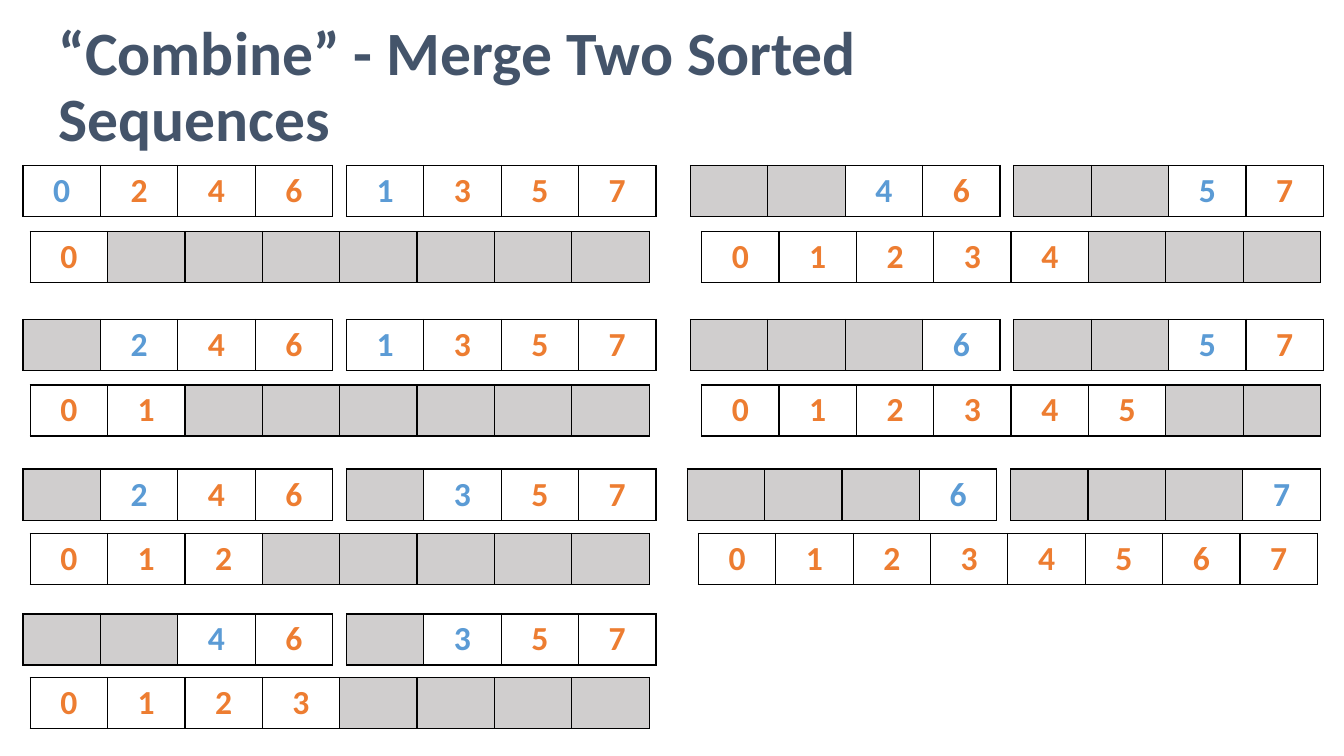
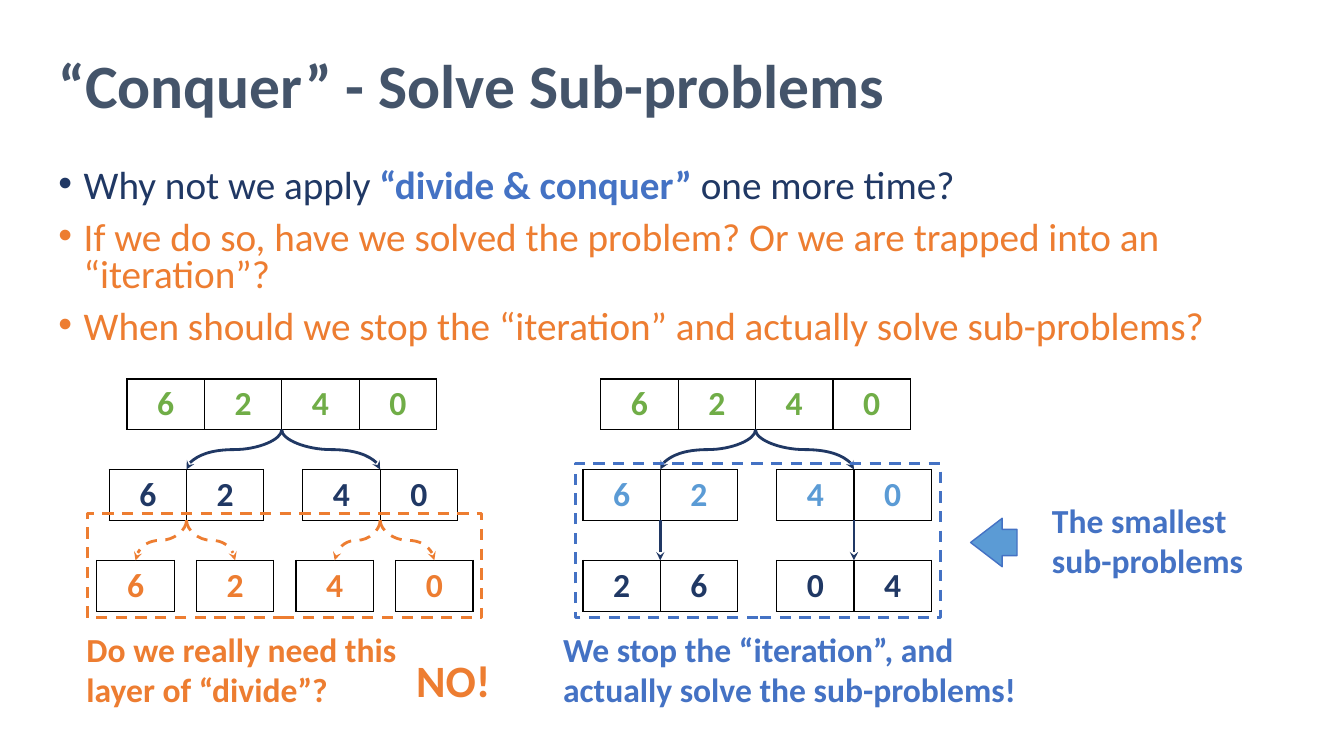
from pptx import Presentation
from pptx import util as u
from pptx.dml import color
from pptx.enum import dml, shapes, text
from pptx.oxml import ns, xmlchemy

COLORS = {
    "title": "44546A", "navy": "203864", "blue": "4472C4", "sky": "5B9BD5",
    "orange": "ED7D31", "green": "70AD47", "gray": "D0CECE", "black": "000000",
}
CELL_WIDTH, CELL_HEIGHT = 1.95, 1.28


def rgb(name):
    return color.RGBColor.from_string(COLORS[name])


def add_xml(parent, tag, **attributes):
    element = xmlchemy.OxmlElement(tag)
    for key, value in attributes.items():
        element.set(key, str(value))
    parent.append(element)
    return element


class Deck:
    """Holds the presentation, its style and the current slide."""

    text_format = {"name": "Calibri", "size": u.Pt(24), "bold": True}
    title_format = {"size": u.Pt(44)}
    body_format = {"size": u.Pt(28), "bold": False}

    def __init__(self):
        self.presentation = Presentation()
        self.presentation.slide_width = u.Cm(33.87)
        self.presentation.slide_height = u.Cm(19.05)
        self.slide = None

    def run(self, paragraph, words, color_name, **changes):
        run = paragraph.add_run()
        run.text = words
        for key, value in {**self.text_format, **changes}.items():
            setattr(run.font, key, value)
        run.font.color.rgb = rgb(color_name)

    def outline(self, line, color_name, width, dashed=False):
        line.color.rgb = rgb(color_name)
        line.width = u.Pt(width)
        if dashed:
            line.dash_style = dml.MSO_LINE.DASH

    def new_slide(self, title):
        layout = self.presentation.slide_layouts[5]
        self.slide = self.presentation.slides.add_slide(layout)
        shape = self.slide.shapes.title
        position = {"left": 1.22, "top": 1.19, "width": 27.23, "height": 2.08}
        for key, value in position.items():
            setattr(shape, key, u.Cm(value))
        frame = shape.text_frame
        frame.auto_size = text.MSO_AUTO_SIZE.NONE
        frame.vertical_anchor = text.MSO_ANCHOR.MIDDLE
        paragraph = frame.paragraphs[0]
        paragraph.alignment = text.PP_ALIGN.LEFT
        paragraph.line_spacing = 0.9
        self.run(paragraph, title, "title", **self.title_format)

    def text_box(self, left, top, width, height):
        box = self.slide.shapes.add_textbox(*map(u.Cm, (left, top, width, height)))
        box.text_frame.word_wrap = True
        return box.text_frame

    def label(self, words, color_name, left, top, width, height=2.31, size=24):
        frame = self.text_box(left, top, width, height)
        self.run(frame.paragraphs[0], words, color_name, size=u.Pt(size))

    def bullets(self, items, left, top, width, height):
        frame = self.text_box(left, top, width, height)
        for index, runs in enumerate(items):
            paragraph = frame.add_paragraph() if index else frame.paragraphs[0]
            paragraph.line_spacing = 0.8
            paragraph.space_before = u.Pt(10)
            properties = paragraph._p.get_or_add_pPr()
            properties.set("marL", str(u.Cm(0.64)))
            properties.set("indent", str(-u.Cm(0.64)))
            add_xml(properties, "a:buFont", typeface="Arial")
            add_xml(properties, "a:buChar", char="•")
            for words, color_name, changes in runs:
                self.run(paragraph, words, color_name, **{**self.body_format, **changes})

    def array(self, left, top, cells):
        """Draw one row of (value, colour) cells; None is a grey cell."""
        size = (CELL_WIDTH * len(cells), CELL_HEIGHT)
        table = self.slide.shapes.add_table(
            1, len(cells), *map(u.Cm, (left, top, *size))).table
        table.first_row = table.horz_banding = False
        for column, content in enumerate(cells):
            table.columns[column].width = u.Cm(CELL_WIDTH)
            cell = table.cell(0, column)
            if content is None:
                cell.fill.solid()
                cell.fill.fore_color.rgb = rgb("gray")
            else:
                cell.fill.background()
                paragraph = cell.text_frame.paragraphs[0]
                paragraph.alignment = text.PP_ALIGN.CENTER
                self.run(paragraph, str(content[0]), content[1])
            self.borders(cell)

    def borders(self, cell):
        properties = cell._tc.get_or_add_tcPr()
        for index, side in enumerate("LRTB"):
            line = xmlchemy.OxmlElement(f"a:ln{side}")
            line.set("w", str(u.Pt(1)))
            fill = add_xml(line, "a:solidFill")
            add_xml(fill, "a:srgbClr", val=COLORS["black"])
            properties.insert(index, line)

    def arrow(self, start, end, color_name="navy", dashed=False):
        """Draw a downward arrow, curved when its ends are not aligned."""
        (x1, y1), (x2, y2) = start, end
        curved = x1 != x2
        kind = shapes.MSO_CONNECTOR.STRAIGHT
        if curved:
            # The curve is laid out sideways about its centre, then turned.
            kind = shapes.MSO_CONNECTOR.CURVE
            middle_x, middle_y = (x1 + x2) / 2, (y1 + y2) / 2
            half_drop, half_span = (y2 - y1) / 2, abs(x2 - x1) / 2
            corners = (middle_x - half_drop, middle_y - half_span,
                       middle_x + half_drop, middle_y + half_span)
        else:
            corners = (x1, y1, x2, y2)
        connector = self.slide.shapes.add_connector(kind, *map(u.Cm, corners))
        properties = connector._element.spPr
        if curved:
            transform = properties.find(ns.qn("a:xfrm"))
            transform.set("rot", str((90 if x2 < x1 else 270) * 60000))
            if x2 > x1:
                transform.set("flipH", "1")
        self.outline(connector.line, color_name, 2, dashed)
        add_xml(connector.line._get_or_add_ln(), "a:tailEnd", type="stealth")
        add_xml(properties, "a:effectLst")

    def shape(self, kind, left, top, width, height):
        shape = self.slide.shapes.add_shape(kind, *map(u.Cm, (left, top, width, height)))
        shape.shadow.inherit = False
        return shape

    def dashed_box(self, color_name, *position):
        box = self.shape(shapes.MSO_SHAPE.RECTANGLE, *position)
        box.fill.background()
        self.outline(box.line, color_name, 2, dashed=True)

    def left_arrow(self, *position):
        arrow = self.shape(shapes.MSO_SHAPE.RIGHT_ARROW, *position)
        arrow.rotation = 180
        arrow.adjustments[0], arrow.adjustments[1] = 0.54, 0.68
        arrow.fill.solid()
        arrow.fill.fore_color.rgb = rgb("sky")
        self.outline(arrow.line, "blue", 1)


def colored(values, color_name):
    return [(value, color_name) for value in values]


def remaining(values, step):
    """Grey out the merged values and highlight the next one."""
    head = min(value for value in values if value >= step)
    return [None if value < step else (value, "sky" if value == head else "orange")
            for value in values]


def build_combine(deck):
    deck.new_slide("“Combine” - Merge Two Sorted Sequences")
    row_tops = [(4.17, 5.83), (8.05, 9.7), (11.82, 13.44), (15.47, 17.07)]
    columns = [(0.58, 0.76), (17.4, 17.68)]
    last_step = 6
    for step in range(last_step + 1):
        column, row = divmod(step, len(row_tops))
        shift = 0.08 if step == last_step else 0
        source_left, merged_left = (left - shift for left in columns[column])
        source_top, merged_top = row_tops[row]
        # Two sorted sources, then the merged sequence
        deck.array(source_left, source_top, remaining([0, 2, 4, 6], step))
        deck.array(source_left + 8.15, source_top, remaining([1, 3, 5, 7], step))
        count = 8 if step == last_step else step + 1
        merged = colored(range(count), "orange") + [None] * (8 - count)
        deck.array(merged_left, merged_top, merged)


def build_conquer(deck):
    deck.new_slide("“Conquer” - Solve Sub-problems")
    deck.bullets([
        [("Why not we apply ", "navy", {}),
         ("“divide & conquer”", "blue", {"bold": True}),
         (" one more time?", "navy", {})],
        [("If we do so, have we solved the problem? "
          "Or we are trapped into an “iteration”?", "orange", {})],
        [("When should we stop the “iteration” and actually solve sub-problems?",
          "orange", {})],
    ], 1.22, 4.14, 30.66, 4.88)

    # Both trees: the whole array split into two pairs
    top, pair_top, leaf_top = 9.55, 11.83, 14.12
    pair_offsets = (-0.45, 4.43)
    trees = {"left": (3.2, "navy"), "right": (15.14, "sky")}
    pair_lefts = {}
    for side, (left, color_name) in trees.items():
        deck.array(left, top, colored([6, 2, 4, 0], "green"))
        pair_lefts[side] = [left + offset for offset in pair_offsets]
        for pair_left, values in zip(pair_lefts[side], ([6, 2], [4, 0])):
            deck.array(pair_left, pair_top, colored(values, color_name))
            deck.arrow((left + 2 * CELL_WIDTH, top + CELL_HEIGHT),
                       (pair_left + CELL_WIDTH, pair_top))

    # Left tree: one more split into single values
    pair_bottom = pair_top + CELL_HEIGHT
    for index, value in enumerate([6, 2, 4, 0]):
        leaf_left = 2.44 + 2.51 * index
        parent_center = pair_lefts["left"][index // 2] + CELL_WIDTH
        deck.array(leaf_left, leaf_top, colored([value], "orange"))
        deck.arrow((parent_center, pair_bottom),
                   (leaf_left + CELL_WIDTH / 2, leaf_top), "orange", dashed=True)
    deck.dashed_box("orange", 2.21, 12.95, 9.93, 2.62)
    deck.label("Do we really need this layer of “divide”?", "orange", 1.93, 15.72, 8.48)
    deck.label("NO!", "orange", 10.24, 16.33, 2.51, 1.63, size=32)

    # Right tree: the pairs are sorted directly
    for pair_left, values in zip(pair_lefts["right"], ([2, 6], [0, 4])):
        center = pair_left + CELL_WIDTH
        deck.array(pair_left, leaf_top, colored(values, "navy"))
        deck.arrow((center, pair_bottom), (center, leaf_top))
    deck.dashed_box("blue", 14.5, 11.68, 9.2, 3.89)
    deck.label("We stop the “iteration”, and actually solve the sub-problems!",
               "blue", 13.94, 15.72, 12.09)
    deck.label("The smallest sub-problems", "blue", 26.26, 12.47, 5.64)
    deck.left_arrow(24.46, 13.06, 1.17, 1.22)


def main():
    deck = Deck()
    build_combine(deck)
    build_conquer(deck)
    deck.presentation.save("out.pptx")


if __name__ == "__main__":
    main()
